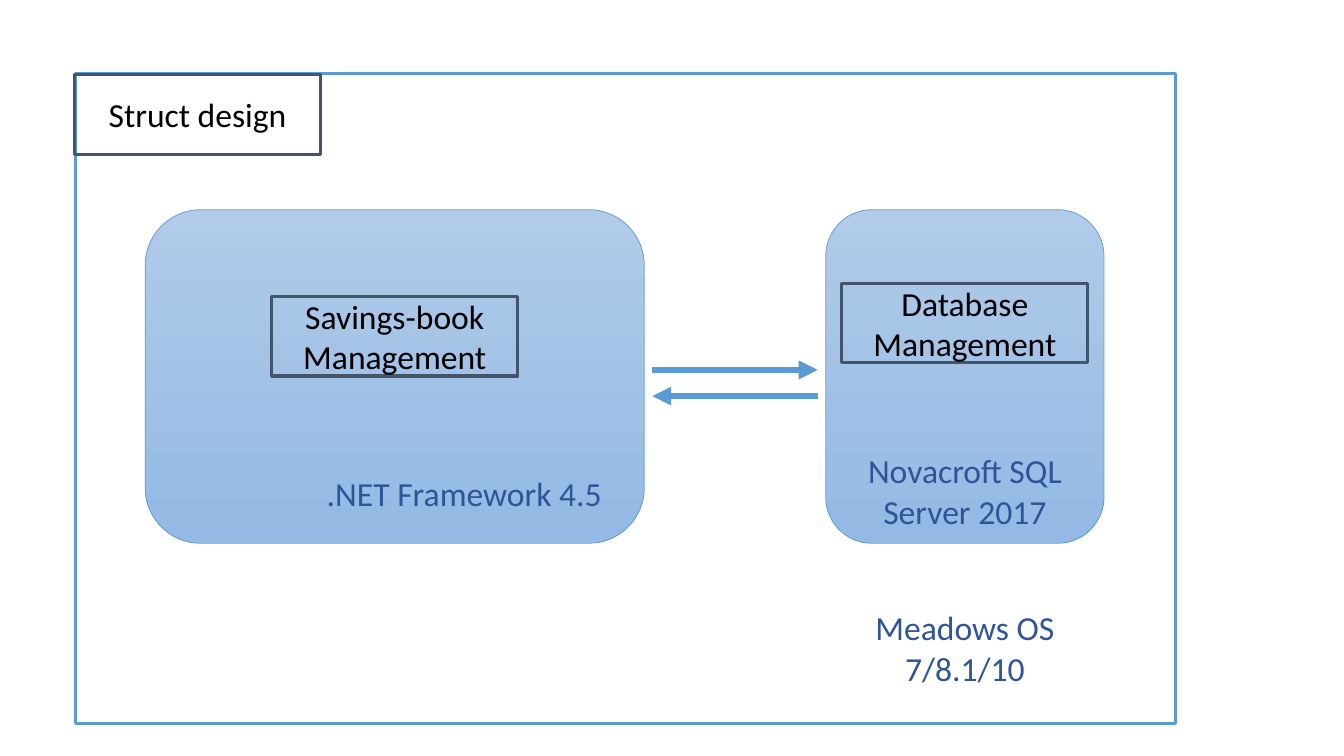
import pptx
import pptx.util
import pptx.dml.color
import pptx.enum.shapes
import pptx.enum.text
import pptx.oxml
import pptx.oxml.ns

Inches = pptx.util.Inches
Shapes = pptx.enum.shapes.MSO_SHAPE

# Content: boxes are left, top, width, height in inches
TITLE = ("Struct design", 0.74, 0.74)
FRAME = (0.75, 0.73, 10.91, 6.45)
TIERS = [(1.44, 2.08, 4.95, 3.31), (8.19, 2.08, 2.76, 3.31)]
MODULES = [("Savings-book Management", 2.94), ("Database Management", 2.81)]
PLATFORMS = [
    ("Novacroft SQL\nServer 2017", 8.19, 4.47, 2.76),
    (".NET Framework 4.5", 3.08, 4.5, 3.05),
    ("Meadows OS 7/8.1/10", 8.19, 6.03, 2.76),
]
LABEL_WIDTH, LABEL_HEIGHT = 2.44, 0.79
ARROW_GAP = 0.08
ARROW_ROWS = [(3.67, "right"), (3.93, "left")]

THEME = {
    "font": "Calibri", "size": 24,
    "text": "000000", "platform": "2F5597",
    "accent": "5B9BD5", "label_line": "44546A",
    "gradient": ("B1CBE9", "93B9E4"),
    "thin": 0.5, "border": 2.25, "arrow": 4.5,
}


def color(hex_value):
    return pptx.dml.color.RGBColor.from_string(hex_value)


def set_values(target, values):
    for name, value in values.items():
        setattr(target, name, value)


def place(shape, box):
    names = ("left", "top", "width", "height")
    set_values(shape, dict(zip(names, map(Inches, box))))


def outline(shape, line_color, width):
    shape.line.color.rgb = color(line_color)
    shape.line.width = pptx.util.Pt(width)


def write(shape, text, text_color):
    frame = shape.text_frame
    frame.text = text
    set_values(frame, {
        "word_wrap": True,
        "auto_size": pptx.enum.text.MSO_AUTO_SIZE.NONE,
        "vertical_anchor": pptx.enum.text.MSO_ANCHOR.MIDDLE,
    })
    for paragraph in frame.paragraphs:
        paragraph.alignment = pptx.enum.text.PP_ALIGN.CENTER
        set_values(paragraph.font, {
            "name": THEME["font"], "size": pptx.util.Pt(THEME["size"]),
        })
        paragraph.font.color.rgb = color(text_color)


def add_box(slide, kind, box):
    shape = slide.shapes.add_shape(kind, *map(Inches, box))
    shape.shadow.inherit = False
    shape.fill.background()
    return shape


def add_tier(slide, box):
    tier = add_box(slide, Shapes.ROUNDED_RECTANGLE, box)
    tier.fill.gradient()
    tier.fill.gradient_angle = 270
    for stop, position, shade in zip(tier.fill.gradient_stops, (0, 1), THEME["gradient"]):
        stop.position = position
        stop.color.rgb = color(shade)
    outline(tier, THEME["accent"], THEME["thin"])


def format_label(shape, text):
    outline(shape, THEME["label_line"], THEME["border"])
    write(shape, text, THEME["text"])


def add_arrow(slide, start, end, row):
    arrow = slide.shapes.add_connector(
        pptx.enum.shapes.MSO_CONNECTOR.STRAIGHT,
        *map(Inches, (start, row, end, row)))
    outline(arrow, THEME["accent"], THEME["arrow"])
    head = pptx.oxml.parse_xml(
        f'<a:tailEnd {pptx.oxml.ns.nsdecls("a")} type="triangle"/>')
    arrow.line._get_or_add_ln().append(head)
    arrow.element.spPr.append(pptx.oxml.parse_xml(
        f'<a:effectLst {pptx.oxml.ns.nsdecls("a")}/>'))


def main():
    presentation = pptx.Presentation()
    presentation.slide_width = Inches(13.33)
    presentation.slide_height = Inches(7.5)
    slide = presentation.slides.add_slide(presentation.slide_layouts[5])

    # Tiers and surrounding frame
    for box in TIERS:
        add_tier(slide, box)
    outline(add_box(slide, Shapes.RECTANGLE, FRAME), THEME["accent"], THEME["border"])

    # Platform names
    for text, left, top, width in PLATFORMS:
        box = (left, top, width, LABEL_HEIGHT)
        platform = slide.shapes.add_textbox(*map(Inches, box))
        write(platform, text, THEME["platform"])

    # Modules, centred across their tiers
    for (text, top), (left, _, width, _) in zip(MODULES, TIERS):
        module_left = left + (width - LABEL_WIDTH) / 2
        box = (module_left, top, LABEL_WIDTH, LABEL_HEIGHT)
        format_label(add_box(slide, Shapes.RECTANGLE, box), text)

    # Title label, in front of the frame
    title = slide.shapes.title
    text, left, top = TITLE
    place(title, (left, top, LABEL_WIDTH, LABEL_HEIGHT))
    format_label(title, text)
    slide.shapes.element.append(title.element)

    # Arrows in the gap between the tiers
    application, database = TIERS
    near = application[0] + application[2] + ARROW_GAP
    far = database[0] - ARROW_GAP
    for row, direction in ARROW_ROWS:
        start, end = (near, far) if direction == "right" else (far, near)
        add_arrow(slide, start, end, row)

    presentation.save("out.pptx")


if __name__ == "__main__":
    main()
